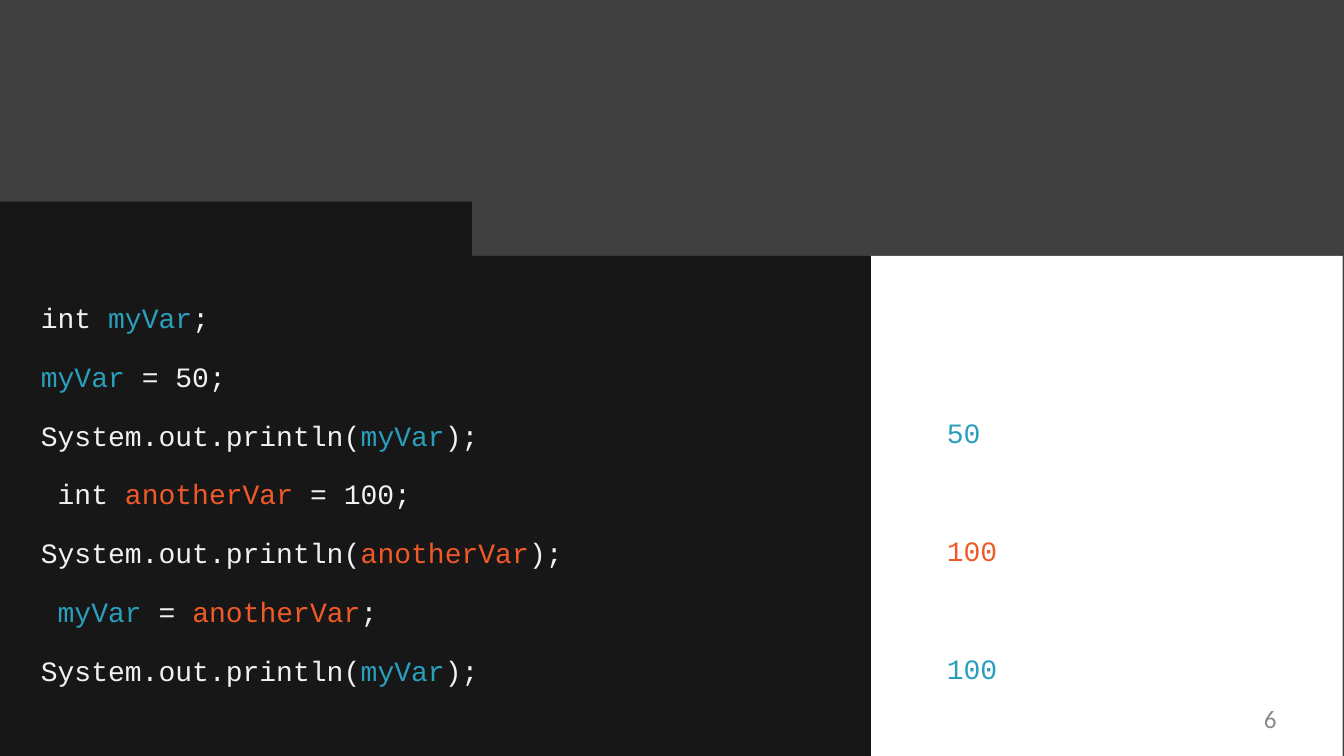
from pptx import Presentation
from pptx import util as u
from pptx.dml.color import RGBColor
from pptx.enum import shapes, text

COLORS = {
    "backdrop": "404040",
    "panel": "171717",
    "output": "FFFFFF",
    "plain": "F1F1F1",
    "myVar": "2A9FBB",
    "anotherVar": "EF5A28",
    "number": "8C8C8C",
}


def paint(sp, color):
    sp.shadow.inherit = False
    sp.fill.solid()
    sp.fill.fore_color.rgb = RGBColor.from_string(COLORS[color])
    sp.line.fill.background()


def add_text(left, top, width, height, lines, font="Courier New", size=20,
             align=text.PP_ALIGN.LEFT):
    sp = s.shapes.add_textbox(u.Cm(left), u.Cm(top), u.Cm(width), u.Cm(height))
    tf = sp.text_frame
    tf.word_wrap = True
    tf.margin_left = tf.margin_right = tf.margin_bottom = 0
    tf.margin_top = u.Cm(0.03)
    for i, runs in enumerate(lines):
        p = tf.paragraphs[0] if i == 0 else tf.add_paragraph()
        p.alignment = align
        if i:
            p.line_spacing = u.Pt(42)
        for words, color in runs:
            r = p.add_run()
            r.text = words
            r.font.name = font
            r.font.size = u.Pt(size)
            r.font.color.rgb = RGBColor.from_string(COLORS[color])


prs = Presentation()
prs.slide_width = u.Cm(33.87)
prs.slide_height = u.Cm(19.05)
s = prs.slides.add_slide(prs.slide_layouts[6])

for left, top, width, height, color in [
    (0, 0, 33.87, 19.05, "backdrop"),
    (21.95, 6.45, 11.89, 12.6, "output"),
]:
    sp = s.shapes.add_shape(shapes.MSO_SHAPE.RECTANGLE, u.Cm(left), u.Cm(top),
                            u.Cm(width), u.Cm(height))
    paint(sp, color)

outline = [(11.89, 5.08), (11.89, 6.45), (21.95, 6.45), (21.95, 19.05), (0, 19.05)]
builder = s.shapes.build_freeform(0, u.Cm(5.08))
builder.add_line_segments([(u.Cm(x), u.Cm(y)) for x, y in outline], close=True)
paint(builder.convert_to_shape(), "panel")

outputs = [("50", "myVar"), ("100", "anotherVar"), ("100", "myVar")]
for i, result in enumerate(outputs):
    add_text(23.86, 10.44 + 2.97 * i, 1.5, 0.91, [[result]])

my_var = ("myVar", "myVar")
another_var = ("anotherVar", "anotherVar")
println = ("System.out.println(", "plain")
end = (");", "plain")
code = [
    [("int ", "plain"), my_var, (";", "plain")],
    [my_var, (" = 50;", "plain")],
    [println, my_var, end],
    [(" int ", "plain"), another_var, (" = 100;", "plain")],
    [println, another_var, end],
    [(" ", "plain"), my_var, (" = ", "plain"), another_var, (";", "plain")],
    [println, my_var, end],
]
add_text(1.03, 7.54, 14, 9.8, code)
add_text(24.38, 17.7, 7.79, 0.97, [[("6", "number")]], "Calibri", 18,
         text.PP_ALIGN.RIGHT)

prs.save("out.pptx")
